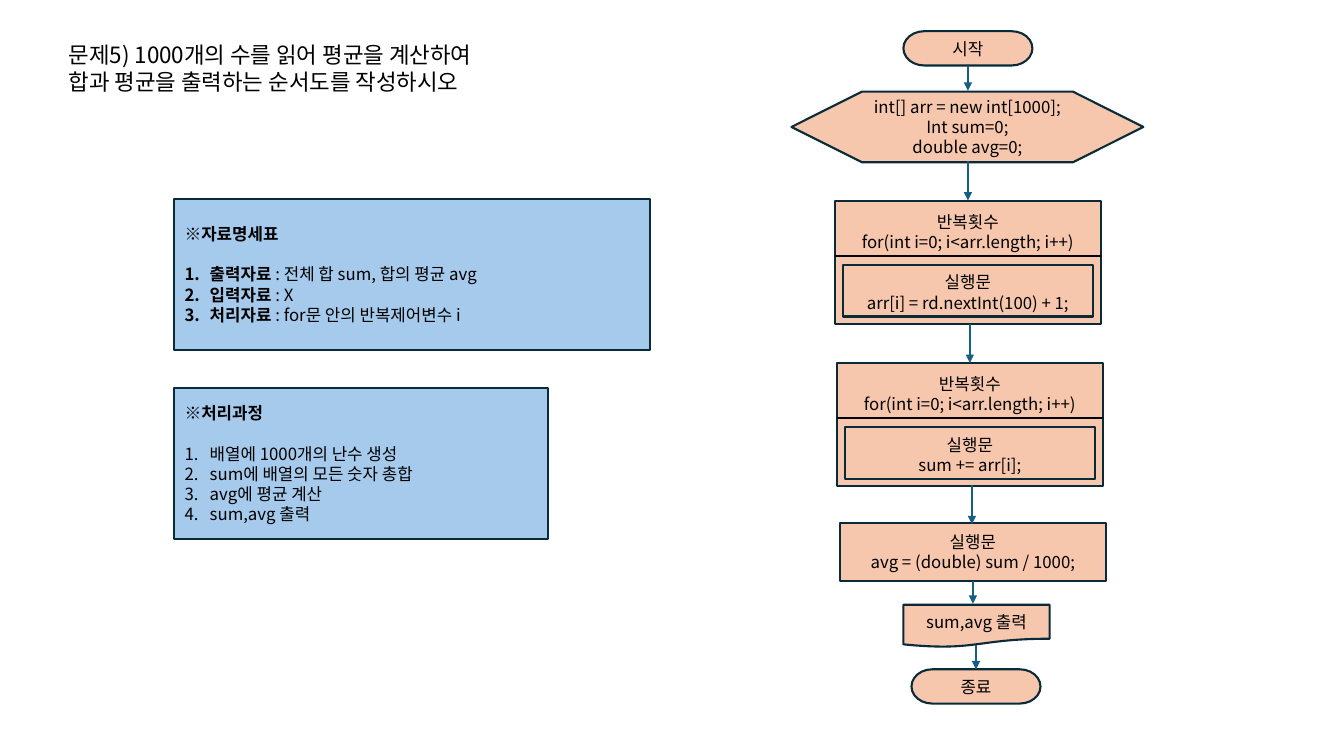
from lxml import etree
from pptx import Presentation
from pptx.dml.color import RGBColor
from pptx.enum.shapes import MSO_CONNECTOR, MSO_SHAPE
from pptx.enum.text import MSO_ANCHOR, MSO_AUTO_SIZE, PP_ALIGN
from pptx.oxml.ns import qn
from pptx.util import Inches, Pt

FONT = "Noto Sans CJK KR"
COLORS = {
    "text": "000000",
    "step": "F6C6AD",
    "note": "A6CAEC",
    "outline": "092A39",
    "arrow": "156082",
}
BLANK_LINE = Pt(14.4)
LOOP_HEADER = ["반복횟수", "for(int i=0; i<arr.length; i++)"]


def color(name):
    return RGBColor.from_string(COLORS[name])


def format_paragraph(paragraph, size, align, bold=False):
    paragraph.alignment = align
    paragraph.space_before = paragraph.space_after = Pt(0)
    font = paragraph.font
    font.name, font.size, font.bold = FONT, Pt(size), bold
    font.color.rgb = color("text")
    # Hangul takes its font from the East Asian slot
    defaults = paragraph._p.pPr.find(qn("a:defRPr"))
    etree.SubElement(defaults, qn("a:ea"), typeface=FONT)


def write_lines(text_frame, lines, size=12, align=PP_ALIGN.CENTER):
    text_frame.word_wrap = True
    text_frame.text = "\n".join(lines)
    for paragraph in text_frame.paragraphs:
        format_paragraph(paragraph, size, align)


def set_bullet(paragraph, numbered):
    properties = paragraph._p.get_or_add_pPr()
    indent = Inches(0.25) if numbered else 0
    properties.set("marL", str(indent))
    properties.set("indent", str(-indent))
    if numbered:
        etree.SubElement(properties, qn("a:buFont"), typeface=FONT)
        etree.SubElement(properties, qn("a:buAutoNum"), type="arabicPeriod")
    else:
        etree.SubElement(properties, qn("a:buNone"))


def place(shape, left, top, width, height):
    shape.left, shape.top = Inches(left), Inches(top)
    shape.width, shape.height = Inches(width), Inches(height)


def set_outline(shape):
    shape.line.color.rgb = color("outline")
    shape.line.width = Pt(1.5)


def add_title(slide, lines):
    title = slide.shapes.title
    place(title, 0.58, 0.36, 4.72, 0.64)
    write_lines(title.text_frame, lines, 16, PP_ALIGN.LEFT)
    title.text_frame.auto_size = MSO_AUTO_SIZE.NONE
    title.text_frame.vertical_anchor = MSO_ANCHOR.TOP


def fill_note(body, box, heading, items):
    """Items are (bold label, plain text) pairs."""
    place(body, *box)
    body.fill.solid()
    body.fill.fore_color.rgb = color("note")
    set_outline(body)
    text_frame = body.text_frame
    text_frame.word_wrap = True
    text_frame.auto_size = MSO_AUTO_SIZE.NONE
    text_frame.vertical_anchor = MSO_ANCHOR.MIDDLE

    first = text_frame.paragraphs[0]
    first.text = heading
    set_bullet(first, numbered=False)
    format_paragraph(first, 12, PP_ALIGN.LEFT, bold=True)
    first.space_after = BLANK_LINE
    for label, text in items:
        paragraph = text_frame.add_paragraph()
        set_bullet(paragraph, numbered=True)
        format_paragraph(paragraph, 12, PP_ALIGN.LEFT)
        if label:
            run = paragraph.add_run()
            run.text = label
            run.font.bold = True
        paragraph.add_run().text = text


def add_step(slide, kind, box, lines=(), filled=True):
    shape = slide.shapes.add_shape(kind, *map(Inches, box))
    shape.shadow.inherit = False
    if filled:
        shape.fill.solid()
        shape.fill.fore_color.rgb = color("step")
    else:
        shape.fill.background()
    set_outline(shape)
    if lines:
        write_lines(shape.text_frame, lines)
        shape.text_frame.vertical_anchor = MSO_ANCHOR.MIDDLE
    return shape


def add_line(slide, start, end, color_name, arrow=False):
    connector = slide.shapes.add_connector(
        MSO_CONNECTOR.STRAIGHT, *map(Inches, start + end))
    connector.line.color.rgb = color(color_name)
    connector.line.width = Pt(1.5)
    if arrow:
        outline = connector.line._get_or_add_ln()
        etree.SubElement(outline, qn("a:tailEnd"), type="triangle")
    etree.SubElement(connector._element.spPr, qn("a:effectLst"))


def add_loop(slide, left, top, statement):
    width = 2.64
    loop = add_step(slide, MSO_SHAPE.RECTANGLE, (left, top, width, 1.22),
                    LOOP_HEADER + ["실행문", statement])
    loop.text_frame.paragraphs[2].space_before = BLANK_LINE
    divider = top + 0.55
    add_line(slide, (left, divider), (left + width, divider), "text")
    add_step(slide, MSO_SHAPE.RECTANGLE,
             (left + 0.08, top + 0.64, width - 0.16, 0.51), filled=False)


def main():
    presentation = Presentation()
    presentation.slide_width = Inches(13.33)
    presentation.slide_height = Inches(7.5)
    # Layout with a title and two bodies
    slide = presentation.slides.add_slide(presentation.slide_layouts[3])

    # Problem and notes
    add_title(slide, ["문제5) 1000개의 수를 읽어 평균을 계산하여",
                      "합과 평균을 출력하는 순서도를 작성하시오"])
    data_note, process_note = list(slide.placeholders)[1:3]
    fill_note(data_note, (1.73, 1.97, 4.72, 1.5), "※자료명세표", [
        ("출력자료 ", ": 전체 합 sum, 합의 평균 avg"),
        ("입력자료 ", ": X"),
        ("처리자료 ", ": for문 안의 반복제어변수 i"),
    ])
    fill_note(process_note, (1.73, 3.85, 3.71, 1.5), "※처리과정", [
        ("", "배열에 1000개의 난수 생성"),
        ("", "sum에 배열의 모든 숫자 총합"),
        ("", "avg에 평균 계산"),
        ("", "sum,avg 출력"),
    ])

    # Flowchart steps
    add_step(slide, MSO_SHAPE.FLOWCHART_TERMINATOR,
             (8.96, 0.31, 1.28, 0.34), ["시작"])
    add_step(slide, MSO_SHAPE.FLOWCHART_PREPARATION, (7.85, 0.91, 3.49, 0.7),
             ["int[] arr = new int[1000];", "Int sum=0;", "double avg=0;"])
    add_loop(slide, 8.28, 1.99, "arr[i] = rd.nextInt(100) + 1;")
    add_loop(slide, 8.3, 3.6, "sum += arr[i];")
    add_step(slide, MSO_SHAPE.RECTANGLE, (8.33, 5.19, 2.64, 0.57),
             ["실행문", "avg = (double) sum / 1000;"])
    add_step(slide, MSO_SHAPE.FLOWCHART_DOCUMENT,
             (8.96, 6, 1.45, 0.42), ["sum,avg 출력"])
    add_step(slide, MSO_SHAPE.FLOWCHART_TERMINATOR,
             (9.04, 6.64, 1.28, 0.34), ["종료"])

    # Arrows between the steps
    for x, top, bottom in [(9.6, 0.65, 0.9), (9.6, 1.6, 1.99),
                           (9.62, 3.21, 3.6), (9.64, 4.81, 5.2),
                           (9.65, 5.76, 5.99), (9.68, 6.4, 6.64)]:
        add_line(slide, (x, top), (x, bottom), "arrow", arrow=True)

    presentation.save("out.pptx")


if __name__ == "__main__":
    main()
